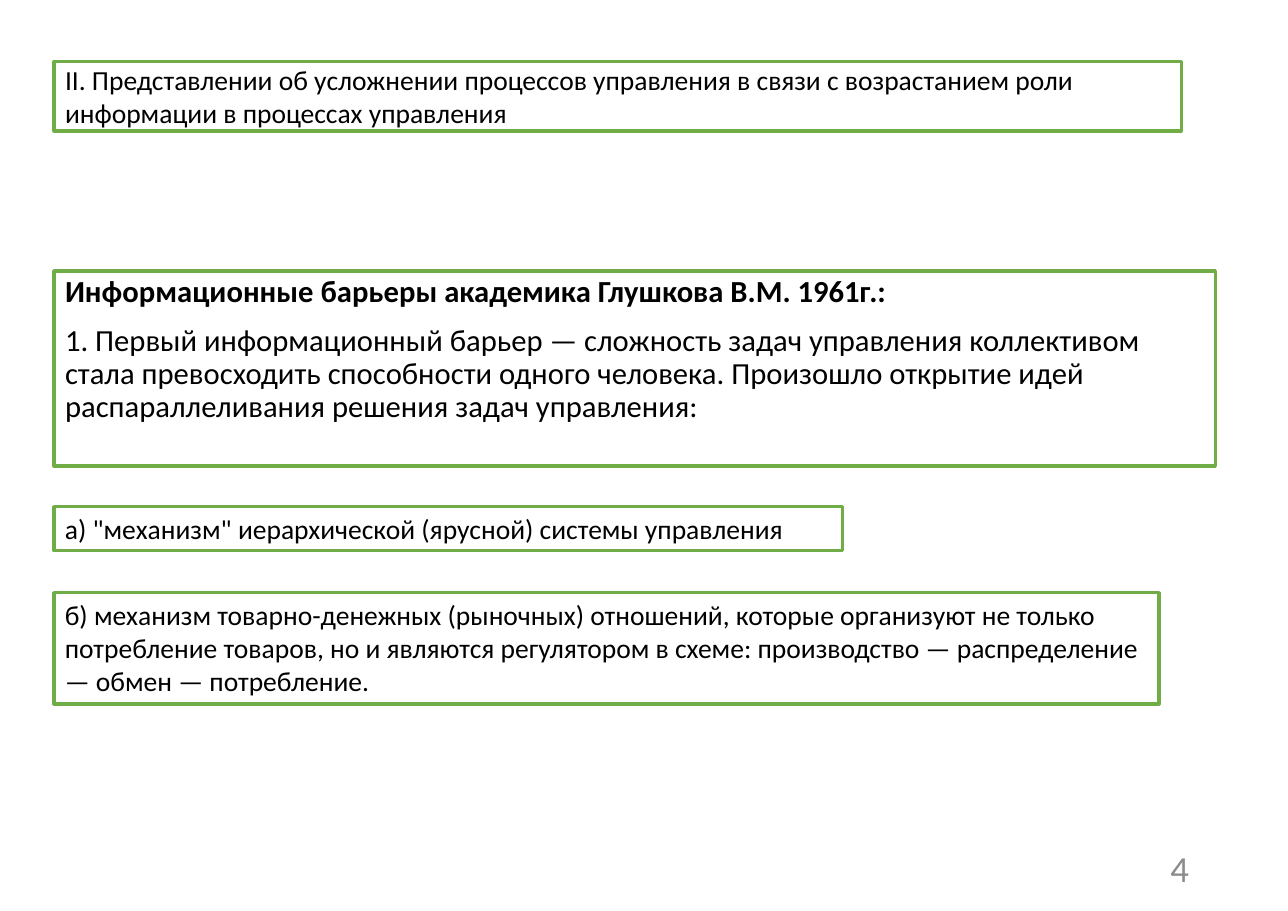
from dataclasses import dataclass

import pptx
import pptx.dml.color
import pptx.enum.shapes
import pptx.enum.text
import pptx.oxml.ns
import pptx.util
from lxml import etree

Pt = pptx.util.Pt
ALIGN = pptx.enum.text.PP_ALIGN
ANCHOR = pptx.enum.text.MSO_ANCHOR
LEFT = 35.28
GREEN, WHITE, BLACK, GREY = "70AD47", "FFFFFF", "000000", "8C8C8C"


@dataclass
class Box:
    top: float
    width: float
    height: float
    paragraphs: list[str]
    size: float = 18
    line_width: float = 2.25
    anchor: ANCHOR = ANCHOR.TOP


TITLE = Box(40.32, 736.56, 45.36, [
    "II. Представлении об усложнении процессов управления в связи с "
    "возрастанием роли информации в процессах управления"],
    line_width=2, anchor=ANCHOR.MIDDLE)
BARRIERS = Box(177.12, 758.88, 127.44, [
    "Информационные барьеры академика Глушкова В.М. 1961г.:",
    "1. Первый информационный барьер — сложность задач управления коллективом "
    "стала превосходить способности одного человека. Произошло открытие идей "
    "распараллеливания решения задач управления:"], size=20)
MECHANISMS = [
    Box(331.2, 515.52, 28.8, [
        'а) "механизм" иерархической (ярусной) системы управления']),
    Box(387.36, 722.16, 72.72, [
        "б) механизм товарно-денежных (рыночных) отношений, которые организуют "
        "не только потребление товаров, но и являются регулятором в схеме: "
        "производство — распределение — обмен — потребление."]),
]


def rgb(value: str) -> pptx.dml.color.RGBColor:
    return pptx.dml.color.RGBColor.from_string(value)


def place(sp, left: float, top: float, width: float, height: float) -> None:
    sp.left, sp.top, sp.width, sp.height = map(Pt, (left, top, width, height))


def write(tf, paragraphs: list[str], size: float, color: str,
          align: ALIGN, anchor: ANCHOR) -> None:
    tf.text = "\n".join(paragraphs)
    tf.word_wrap = True
    tf.auto_size = pptx.enum.text.MSO_AUTO_SIZE.NONE
    tf.vertical_anchor = anchor
    for p in tf.paragraphs:
        p.alignment = align
        for r in p.runs:
            r.font.name, r.font.size = "Calibri", Pt(size)
            r.font.bold = False
            r.font.color.rgb = rgb(color)


def draw_box(sp, box: Box) -> None:
    place(sp, LEFT, box.top, box.width, box.height)
    sp.fill.solid()
    sp.fill.fore_color.rgb = rgb(WHITE)
    sp.line.color.rgb = rgb(GREEN)
    sp.line.width = Pt(box.line_width)
    write(sp.text_frame, box.paragraphs, box.size, BLACK, ALIGN.LEFT, box.anchor)


def format_barriers(tf) -> None:
    """Remove bullets, tighten the lines and embolden the heading."""
    for p in tf.paragraphs:
        p.line_spacing = 0.9
        p.space_before = Pt(10)
        pPr = p._p.get_or_add_pPr()
        pPr.set("marL", "0")
        pPr.set("indent", "0")
        etree.SubElement(pPr, pptx.oxml.ns.qn("a:buNone"))
    tf.paragraphs[0].runs[0].font.bold = True


def main() -> None:
    prs = pptx.Presentation()
    prs.slide_width, prs.slide_height = Pt(841.68), Pt(595.44)
    s = prs.slides.add_slide(prs.slide_layouts[1])

    draw_box(s.shapes.title, TITLE)
    body = s.placeholders[1]
    draw_box(body, BARRIERS)
    format_barriers(body.text_frame)

    for box in MECHANISMS:
        sp = s.shapes.add_shape(pptx.enum.shapes.MSO_SHAPE.RECTANGLE, 0, 0, 0, 0)
        sp.shadow.inherit = False
        draw_box(sp, box)

    number = s.shapes.add_textbox(0, 0, 0, 0)
    place(number, 594.72, 551.52, 189.36, 31.68)
    write(number.text_frame, ["4"], 24, GREY, ALIGN.RIGHT, ANCHOR.MIDDLE)

    prs.save("out.pptx")


if __name__ == "__main__":
    main()
